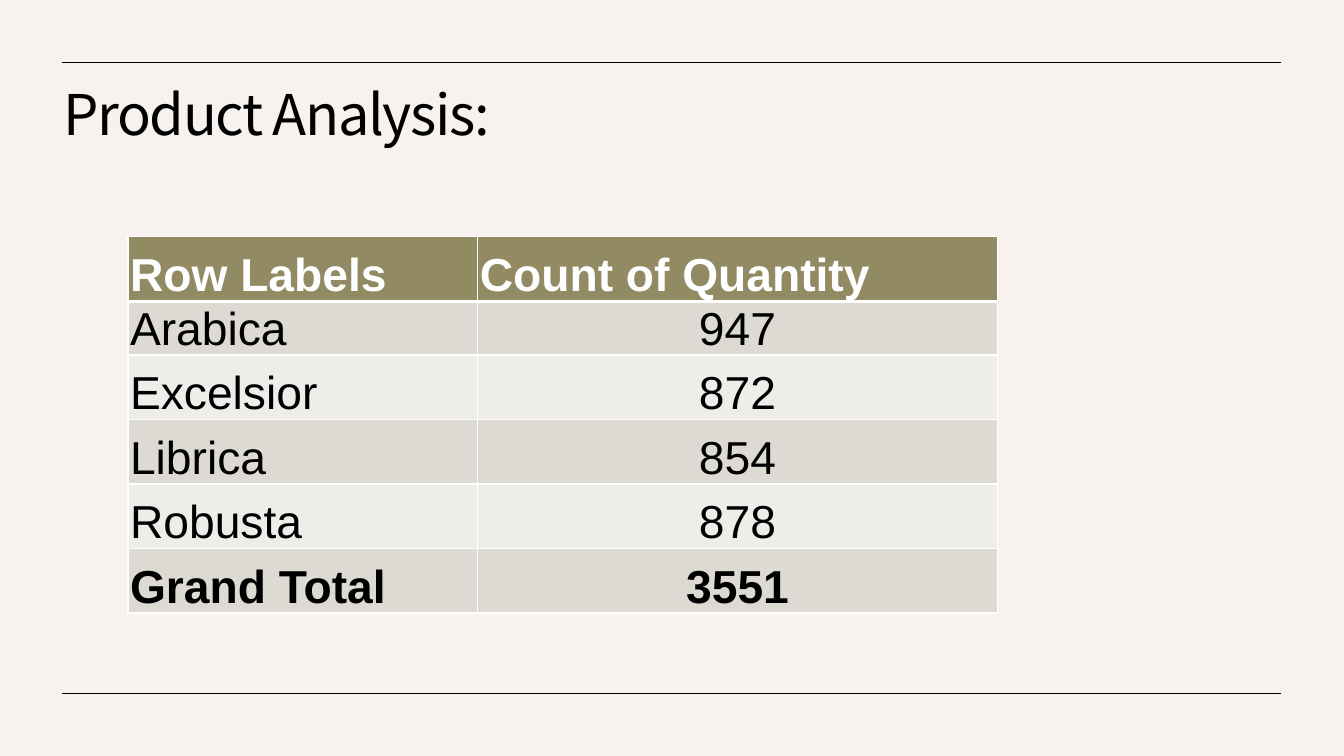
"""Build the Product Analysis slide: a title, two rules and a table of counts."""
import pptx
import pptx.dml.color
import pptx.enum.shapes
import pptx.enum.text
import pptx.oxml
import pptx.oxml.ns
import pptx.util

TITLE = "Product Analysis:"
ROWS = [
    ("Row Labels", "Count of Quantity"),
    ("Arabica", "947"),
    ("Excelsior", "872"),
    ("Librica", "854"),
    ("Robusta", "878"),
    ("Grand Total", "3551"),
]

BLACK = pptx.dml.color.RGBColor(0x00, 0x00, 0x00)
WHITE = pptx.dml.color.RGBColor(0xFF, 0xFF, 0xFF)
CREAM = pptx.dml.color.RGBColor(0xF7, 0xF2, 0xEE)
OLIVE = pptx.dml.color.RGBColor(0x92, 0x8A, 0x63)
BANDS = [pptx.dml.color.RGBColor(0xEE, 0xED, 0xEA), pptx.dml.color.RGBColor(0xDC, 0xDA, 0xD3)]

Inches = pptx.util.Inches
WIDTH, HEIGHT = 13.33, 7.5
RULE_MARGIN = 0.62
TITLE_BOX = (0.57, 0.86, 12.15, 1.15)
TABLE_LEFT, TABLE_TOP = 1.27, 2.35
COLUMN_WIDTHS = (3.47, 5.15)
ROW_HEIGHT, FIRST_ITEM_HEIGHT = 0.64, 0.52

TITLE_FRAME = {
    "margin_left": Inches(0.06), "margin_top": 0, "word_wrap": True,
    "vertical_anchor": pptx.enum.text.MSO_ANCHOR.TOP,
    "auto_size": pptx.enum.text.MSO_AUTO_SIZE.NONE,
}
TITLE_FONT = {"name": "Noto Sans CJK KR", "size": pptx.util.Pt(40)}
CELL_FORMAT = {
    "margin_left": Inches(0.02), "margin_right": Inches(0.02),
    "margin_top": Inches(0.02), "margin_bottom": 0,
    "vertical_anchor": pptx.enum.text.MSO_ANCHOR.BOTTOM,
}
CELL_FONT = {"name": "Arial", "size": pptx.util.Pt(33)}


def apply_format(target, values):
    for name, value in values.items():
        setattr(target, name, value)


def add_title(slide):
    title = slide.shapes.title
    title.left, title.top, title.width, title.height = map(Inches, TITLE_BOX)
    apply_format(title.text_frame, TITLE_FRAME)
    paragraph = title.text_frame.paragraphs[0]
    apply_format(paragraph, {"alignment": pptx.enum.text.PP_ALIGN.LEFT, "line_spacing": 0.9})
    run = paragraph.add_run()
    run.text = TITLE
    apply_format(run.font, TITLE_FONT)
    run.font.color.rgb = BLACK
    properties = run.font._element
    properties.set("spc", "-100")
    east_asian = pptx.oxml.parse_xml(
        f'<a:ea {pptx.oxml.ns.nsdecls("a")} typeface="{TITLE_FONT["name"]}"/>')
    properties.find(pptx.oxml.ns.qn("a:latin")).addnext(east_asian)


def add_rule(slide, y):
    rule = slide.shapes.add_connector(
        pptx.enum.shapes.MSO_CONNECTOR.STRAIGHT,
        Inches(WIDTH - RULE_MARGIN), Inches(y), Inches(RULE_MARGIN), Inches(y))
    rule.line.color.rgb = BLACK
    rule.line.width = pptx.util.Pt(0.5)
    rule._element.spPr.append(
        pptx.oxml.parse_xml(f'<a:effectLst {pptx.oxml.ns.nsdecls("a")}/>'))


def add_borders(cell, row_index):
    widths = {"L": 1, "R": 1, "T": 3 if row_index == 1 else 1, "B": 3 if row_index == 0 else 1}
    properties = cell._tc.get_or_add_tcPr()
    for side, width in widths.items():
        properties.append(pptx.oxml.parse_xml(
            f'<a:ln{side} {pptx.oxml.ns.nsdecls("a")} w="{pptx.util.Pt(width)}">'
            f'<a:solidFill><a:srgbClr val="{WHITE}"/></a:solidFill></a:ln{side}>'))


def format_cell(cell, text, row_index, column_index):
    is_header = row_index == 0
    is_total = row_index == len(ROWS) - 1
    apply_format(cell, CELL_FORMAT)
    add_borders(cell, row_index)
    cell.fill.solid()
    cell.fill.fore_color.rgb = OLIVE if is_header else BANDS[row_index % 2]
    paragraph = cell.text_frame.paragraphs[0]
    if column_index and not is_header:
        paragraph.alignment = pptx.enum.text.PP_ALIGN.CENTER
    run = paragraph.add_run()
    run.text = text
    apply_format(run.font, CELL_FONT | {"bold": is_header or is_total})
    run.font.color.rgb = WHITE if is_header else BLACK


def add_count_table(slide):
    heights = [FIRST_ITEM_HEIGHT if index == 1 else ROW_HEIGHT for index in range(len(ROWS))]
    table = slide.shapes.add_table(
        len(ROWS), len(COLUMN_WIDTHS), Inches(TABLE_LEFT), Inches(TABLE_TOP),
        Inches(sum(COLUMN_WIDTHS)), Inches(sum(heights))).table
    for column, width in zip(table.columns, COLUMN_WIDTHS):
        column.width = Inches(width)
    for row_index, (row, height) in enumerate(zip(table.rows, heights)):
        row.height = Inches(height)
        for column_index, text in enumerate(ROWS[row_index]):
            format_cell(row.cells[column_index], text, row_index, column_index)


def main():
    presentation = pptx.Presentation()
    presentation.slide_width, presentation.slide_height = Inches(WIDTH), Inches(HEIGHT)
    slide = presentation.slides.add_slide(presentation.slide_layouts.get_by_name("Title Only"))
    slide.background.fill.solid()
    slide.background.fill.fore_color.rgb = CREAM
    add_title(slide)
    for y in (RULE_MARGIN, HEIGHT - RULE_MARGIN):
        add_rule(slide, y)
    add_count_table(slide)
    presentation.save("out.pptx")


if __name__ == "__main__":
    main()
